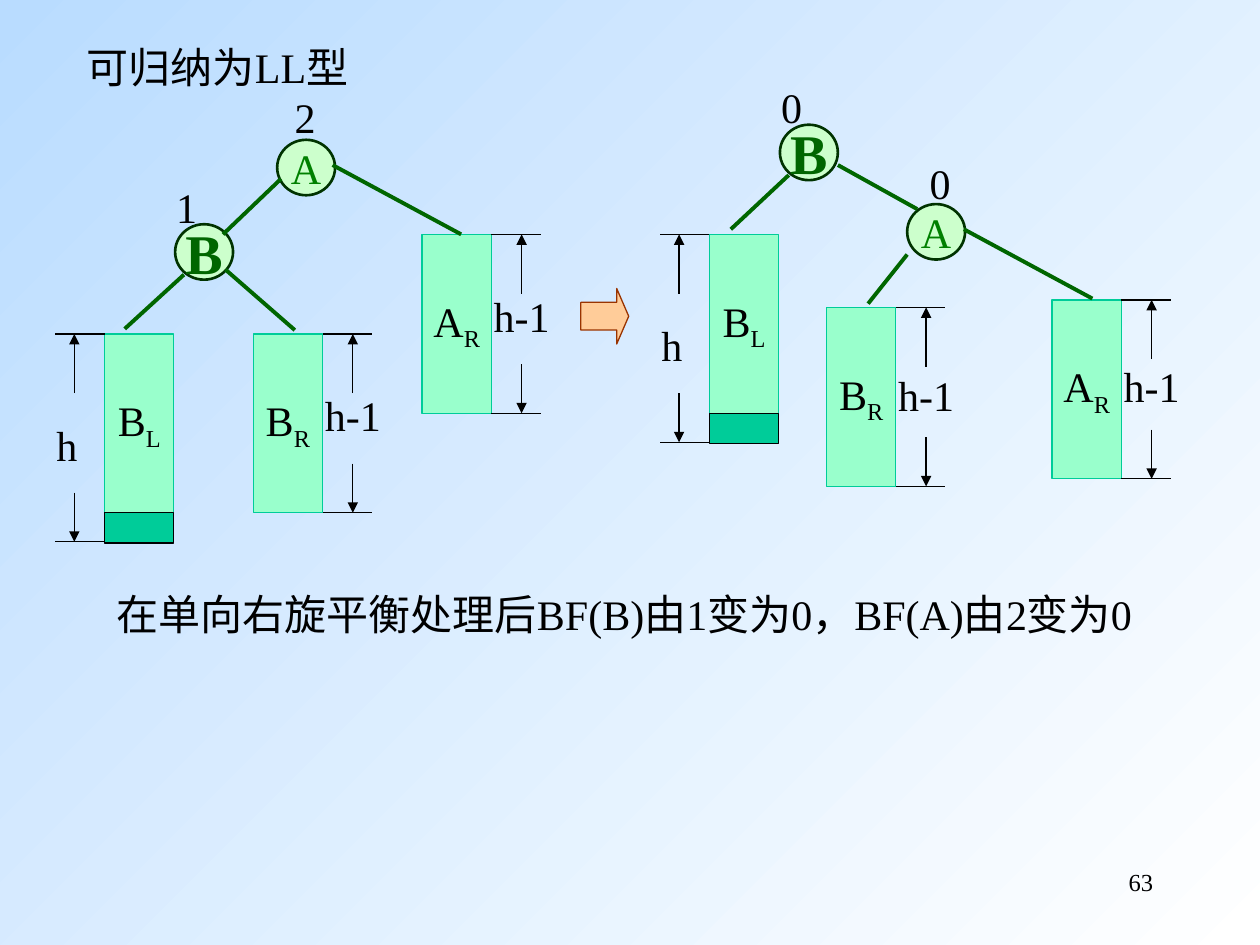
import dataclasses

import pptx
import pptx.dml.color
import pptx.enum.shapes
import pptx.enum.text
import pptx.oxml
import pptx.util

SHAPE = pptx.enum.shapes.MSO_SHAPE
ALIGN = pptx.enum.text.PP_ALIGN
ANCHOR = pptx.enum.text.MSO_ANCHOR
DRAWING = 'xmlns:a="http://schemas.openxmlformats.org/drawingml/2006/main"'

PX = pptx.util.Inches(1) // 100
BAR_WIDTH, BAR_HEIGHT, EXTRA_HEIGHT = 55, 142, 24
NODE_WIDTH, NODE_HEIGHT = 46, 44


@dataclasses.dataclass(frozen=True)
class Theme:
    font: str = "Times New Roman"
    sky: str = "B9DCFF"
    white: str = "FFFFFF"
    ink: str = "000000"
    node: str = "CCFFCC"
    node_line: str = "003300"
    node_text: str = "008000"
    edge: str = "006600"
    bar: str = "99FFCC"
    extra: str = "00CC99"
    arrow: str = "FFCC99"
    arrow_line: str = "993300"
    body_size: int = 24
    pivot_size: int = 32
    number_size: int = 14
    thin: float = 0.75
    medium: float = 1.5
    thick: float = 2.25


def rgb(value):
    return pptx.dml.color.RGBColor.from_string(value)


class TreeSlide:
    """Holds the theme and the slide being drawn; lengths are 1/100 inch."""

    def __init__(self, slide, theme):
        self.slide = slide
        self.theme = theme

    def background(self):
        fill = self.slide.background.fill
        fill.gradient()
        fill.gradient_angle = 315
        for stop, color in zip(fill.gradient_stops, (self.theme.sky, self.theme.white)):
            stop.color.rgb = rgb(color)

    def format(self, paragraph, size=None, color=None, bold=False, align=ALIGN.LEFT):
        paragraph.alignment = align
        font = paragraph.font
        font.name = self.theme.font
        font.size = pptx.util.Pt(size or self.theme.body_size)
        font.bold = bold
        font.color.rgb = rgb(color or self.theme.ink)

    def title(self, text, left, top, width, height):
        title = self.slide.shapes.title
        title.left, title.top = left * PX, top * PX
        title.width, title.height = width * PX, height * PX
        frame = title.text_frame
        frame.text = text
        frame.vertical_anchor = ANCHOR.TOP
        frame.auto_size = pptx.enum.text.MSO_AUTO_SIZE.NONE
        self.format(frame.paragraphs[0])

    def text(self, text, left, top, width, height=50, **style):
        box = self.slide.shapes.add_textbox(left * PX, top * PX, width * PX, height * PX)
        box.text_frame.word_wrap = True
        box.text_frame.text = text
        self.format(box.text_frame.paragraphs[0], **style)

    def shape(self, kind, left, top, width, height, fill, line, weight):
        shape = self.slide.shapes.add_shape(
            kind, left * PX, top * PX, width * PX, height * PX)
        shape.shadow.inherit = False
        shape.fill.solid()
        shape.fill.fore_color.rgb = rgb(fill)
        shape.line.color.rgb = rgb(line)
        shape.line.width = pptx.util.Pt(weight)
        shape.text_frame.word_wrap = False
        shape.text_frame.vertical_anchor = ANCHOR.MIDDLE
        return shape

    def line(self, x1, y1, x2, y2, color, weight, arrow=False):
        connector = self.slide.shapes.add_connector(
            pptx.enum.shapes.MSO_CONNECTOR.STRAIGHT, x1 * PX, y1 * PX, x2 * PX, y2 * PX)
        connector.line.color.rgb = rgb(color)
        connector.line.width = pptx.util.Pt(weight)
        if arrow:
            connector.line._get_or_add_ln().append(
                pptx.oxml.parse_xml(f'<a:tailEnd {DRAWING} type="triangle"/>'))
        connector._element.spPr.append(pptx.oxml.parse_xml(f"<a:effectLst {DRAWING}/>"))

    def edge(self, x1, y1, x2, y2):
        self.line(x1, y1, x2, y2, self.theme.edge, self.theme.thick)

    def node(self, name, left, top, pivot=False):
        theme = self.theme
        shape = self.shape(SHAPE.OVAL, left, top, NODE_WIDTH, NODE_HEIGHT,
                           theme.node, theme.node_line, theme.medium)
        shape.text_frame.text = name
        self.format(shape.text_frame.paragraphs[0],
                    size=theme.pivot_size if pivot else theme.body_size,
                    color=theme.edge if pivot else theme.node_text,
                    bold=pivot, align=ALIGN.CENTER)

    def bar(self, name, side, left, top):
        theme = self.theme
        shape = self.shape(SHAPE.RECTANGLE, left, top, BAR_WIDTH, BAR_HEIGHT,
                           theme.bar, theme.extra, theme.thin)
        paragraph = shape.text_frame.paragraphs[0]
        self.format(paragraph, align=ALIGN.CENTER)
        paragraph.add_run().text = name
        subscript = paragraph.add_run()
        subscript.text = side
        subscript.font._element.set("baseline", "-25000")

    def dimension(self, edge, direction, top, bottom):
        """Ticks and two outward arrows beside a bar; direction is 1 for right, -1 for left."""
        style = (self.theme.ink, self.theme.thin)
        for y in (top, bottom):
            self.line(edge, y, edge + 39 * direction, y, *style)
        x = edge + 24 * direction
        self.line(x, top + 47, x, top, *style, arrow=True)
        self.line(x, bottom - 39, x, bottom, *style, arrow=True)

    def right_subtree(self, name, left, top, label_drop):
        self.bar(name, "R", left, top)
        right = left + BAR_WIDTH
        self.dimension(right, 1, top, top + BAR_HEIGHT)
        self.text("h-1", right - 8, top + label_drop, 94)

    def left_subtree(self, left, top):
        theme = self.theme
        self.bar("B", "L", left, top)
        self.shape(SHAPE.RECTANGLE, left, top + BAR_HEIGHT, BAR_WIDTH, EXTRA_HEIGHT,
                   theme.extra, theme.ink, theme.thin)
        self.dimension(left, -1, top, top + BAR_HEIGHT + EXTRA_HEIGHT - 1)
        self.text("h", left - 48, top + 63, 94)


def main():
    presentation = pptx.Presentation()
    presentation.slide_width = 1000 * PX
    presentation.slide_height = 750 * PX
    theme = Theme()
    tree = TreeSlide(presentation.slides.add_slide(presentation.slide_layouts[5]), theme)

    tree.background()
    tree.title("可归纳为LL型", 59, 28, 299, 50)
    tree.text("63", 717, 683, 208, size=theme.number_size, align=ALIGN.RIGHT)

    for name, left, top in (("A", 220, 111), ("B", 139, 178),
                            ("A", 720, 162), ("B", 619, 99)):
        tree.node(name, left, top, pivot=name == "B")

    for left, top in ((83, 265), (563, 186)):
        tree.left_subtree(left, top)
    for name, left, top, label_drop in (("B", 201, 265, 39), ("A", 335, 186, 40),
                                        ("B", 656, 244, 44), ("A", 835, 238, 43)):
        tree.right_subtree(name, left, top, label_drop)

    before_rotation = ((223, 142, 177, 186), (146, 218, 99, 261),
                       (234, 262, 179, 214), (366, 186, 264, 131))
    after_rotation = ((728, 166, 665, 131), (626, 139, 580, 182),
                      (689, 241, 720, 202), (867, 237, 765, 182))
    for ends in before_rotation + after_rotation:
        tree.edge(*ends)

    for factor, left, top in (("1", 130, 139), ("2", 224, 68),
                              ("0", 610, 60), ("0", 728, 120)):
        tree.text(factor, left, top, 39)

    arrow = tree.shape(SHAPE.RIGHT_ARROW, 461, 229, 38, 44,
                       theme.arrow, theme.arrow_line, theme.thin)
    arrow.adjustments[0], arrow.adjustments[1] = 0.5, 0.25

    tree.text("在单向右旋平衡处理后BF(B)由1变为0，BF(A)由2变为0", 83, 462, 858, 90)
    presentation.save("out.pptx")


if __name__ == "__main__":
    main()
